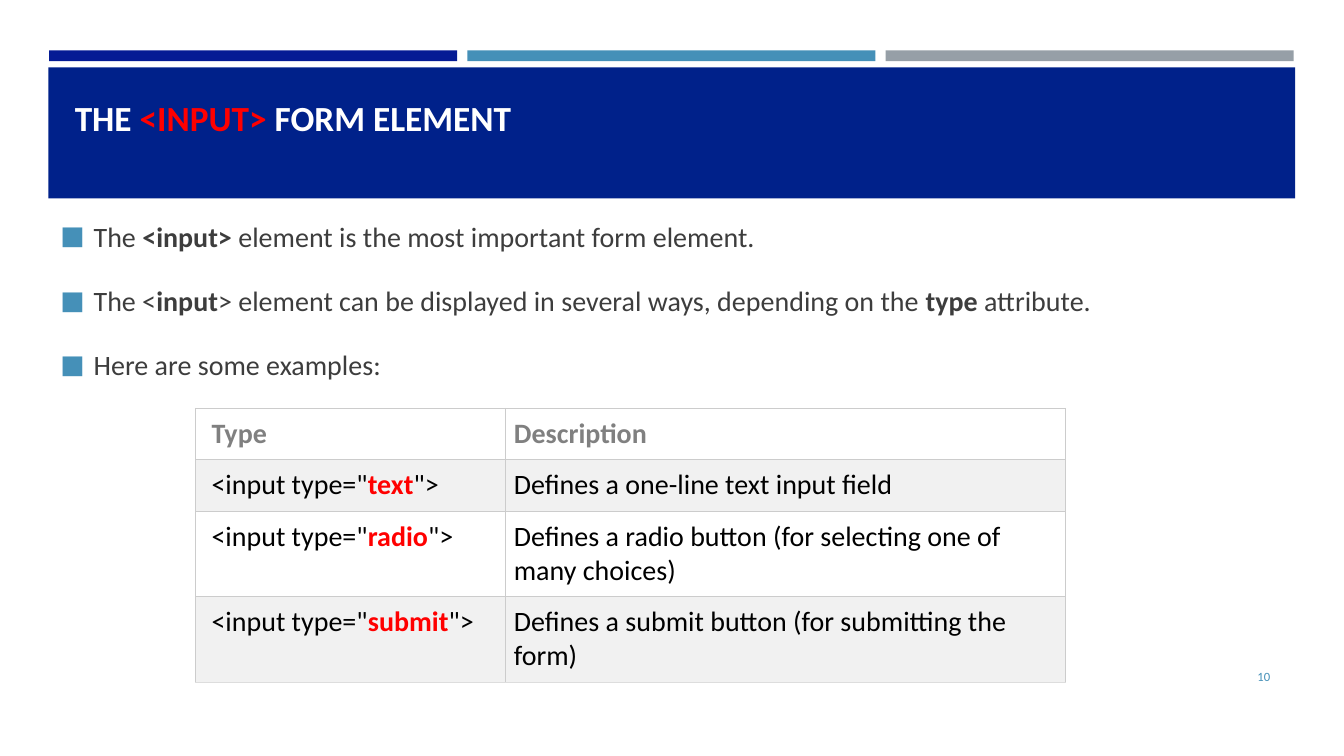
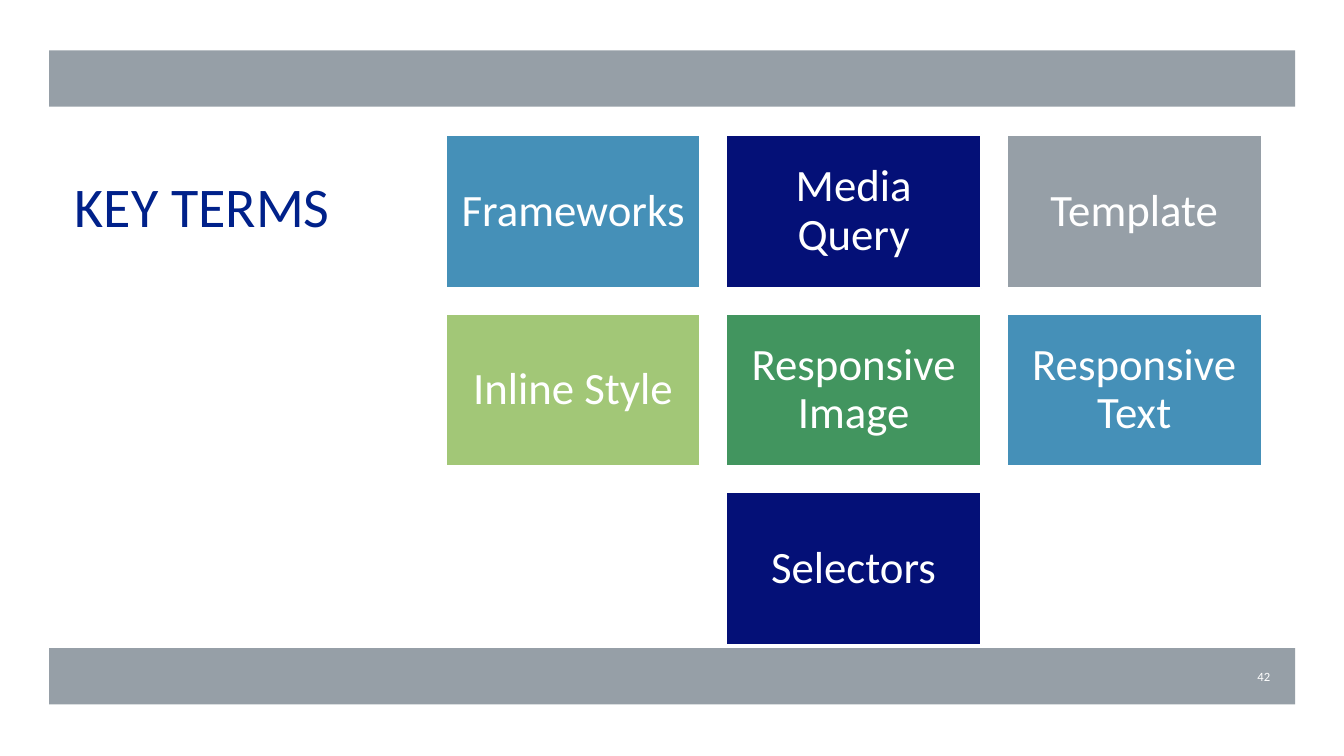
from lxml import etree
from pptx import Presentation
from pptx import util as u
from pptx.dml.color import RGBColor
from pptx.enum import shapes, text
from pptx.oxml import ns

FONT = "Calibri"
COLORS = {
    "white": "FFFFFF", "black": "000000", "red": "FF0000", "banner": "00218A",
    "indigo": "051B94", "navy": "041077", "blue": "4590B8", "grey": "969FA7",
    "lime": "A2C777", "green": "42955F", "body": "3D3D3D", "heading": "808080",
    "stripe": "F1F1F1", "border": "CCCCCC", "last_border": "DDDDDD",
}

INPUT_TITLE = [("THE ", ""), ("<INPUT>", "red"), (" FORM ELEMENT", "")]
BULLETS = [
    [("The ", ""), ("<input>", "bold"),
     (" element is the most important form element.", "")],
    [("The <", ""), ("input", "bold"),
     ("> element can be displayed in several ways, depending on the ", ""),
     ("type", "bold"), (" attribute.", "")],
    [("Here are some examples:", "")],
]
TABLE_HEAD = ("Type", "Description")
INPUT_TYPES = [
    ("text", "Defines a one-line text input field"),
    ("radio", "Defines a radio button (for selecting one of many choices)"),
    ("submit", "Defines a submit button (for submitting the form)"),
]
COLUMN_WIDTHS = (7.82, 14.1)
ROW_HEIGHTS = (1.3, 1.3, 2.15, 2.15)

TERMS_TITLE = [("KEY TERMS", "")]
TERMS = [
    ("Frameworks", "blue"), ("Media Query", "navy"), ("Template", "grey"),
    ("Inline Style", "lime"), ("Responsive Image", "green"), ("Responsive Text", "blue"),
    ("Selectors", "navy"),
]
TILES_PER_ROW = 3
TILE_WIDTH, TILE_HEIGHT, TILE_GAP = 6.43, 3.86, 0.64
TILES_LEFT, TILES_TOP = 11.23, 3.4


def rgb(name):
    return RGBColor.from_string(COLORS[name])


def place(left, top, width, height):
    return [u.Cm(value) for value in (left, top, width, height)]


def style_font(font, size, color, bold=False):
    font.name = FONT
    font.size = u.Pt(size)
    font.color.rgb = rgb(color)
    font.bold = bold


def write(para, runs, size, color, bold=False):
    style_font(para.font, size, color, bold)
    for words, style in runs:
        span = para.add_run()
        span.text = words
        style_font(span.font, size, "red" if style == "red" else color,
                   bold or bool(style))


def set_insets(frame, horizontal, vertical):
    frame.margin_left = frame.margin_right = u.Cm(horizontal)
    frame.margin_top = frame.margin_bottom = u.Cm(vertical)


def add_band(page, at, color):
    band = page.shapes.add_shape(shapes.MSO_SHAPE.RECTANGLE, *place(*at))
    band.shadow.inherit = False
    band.fill.solid()
    band.fill.fore_color.rgb = rgb(color)
    band.line.fill.background()
    return band


def add_text_box(page, at, anchor):
    frame = page.shapes.add_textbox(*place(*at)).text_frame
    frame.word_wrap = True
    frame.vertical_anchor = anchor
    return frame


def set_title(page, runs, at, size, color, bold, anchor):
    title = page.shapes.title
    title.element.getparent().append(title.element)
    title.left, title.top, title.width, title.height = place(*at)
    frame = title.text_frame
    frame.auto_size = text.MSO_AUTO_SIZE.NONE
    frame.word_wrap = True
    frame.vertical_anchor = anchor
    para = frame.paragraphs[0]
    para.alignment = text.PP_ALIGN.LEFT
    write(para, runs, size, color, bold)


def add_page_number(page, number, color):
    frame = add_text_box(page, (29.34, 16.54, 2.92, 1.02), text.MSO_ANCHOR.MIDDLE)
    para = frame.paragraphs[0]
    para.alignment = text.PP_ALIGN.RIGHT
    write(para, [(number, "")], 9, color)


def add_bullet(para):
    props = para._p.get_or_add_pPr()
    props.set("marL", str(u.Cm(0.84)))
    props.set("indent", str(-u.Cm(0.84)))
    color = etree.SubElement(props, ns.qn("a:buClr"))
    etree.SubElement(color, ns.qn("a:srgbClr"), val=COLORS["blue"])
    etree.SubElement(props, ns.qn("a:buSzPct"), val="92000")
    etree.SubElement(props, ns.qn("a:buFont"), typeface=FONT)
    etree.SubElement(props, ns.qn("a:buChar"), char="■")


def set_borders(cell, bottom):
    props = cell._tc.get_or_add_tcPr()
    sides = {"lnL": "border", "lnR": "border", "lnT": "border", "lnB": bottom}
    for index, (side, color) in enumerate(sides.items()):
        line = etree.Element(ns.qn("a:" + side), w=str(u.Pt(0.75)))
        fill = etree.SubElement(line, ns.qn("a:solidFill"))
        etree.SubElement(fill, ns.qn("a:srgbClr"), val=COLORS[color])
        props.insert(index, line)


def add_types_table(page):
    rows = [[[(label, "")] for label in TABLE_HEAD]]
    for kind, description in INPUT_TYPES:
        rows.append([[('<input type="', ""), (kind, "red"), ('">', "")],
                     [(description, "")]])
    at = place(4.93, 10.29, sum(COLUMN_WIDTHS), sum(ROW_HEIGHTS))
    table = page.shapes.add_table(len(rows), len(COLUMN_WIDTHS), *at).table
    for column, width in zip(table.columns, COLUMN_WIDTHS):
        column.width = u.Cm(width)
    for row, height in zip(table.rows, ROW_HEIGHTS):
        row.height = u.Cm(height)
    for r, row in enumerate(rows):
        for c, runs in enumerate(row):
            cell = table.cell(r, c)
            set_insets(cell, 0.2, 0.2)
            if c == 0:
                cell.margin_left = u.Cm(0.4)
            cell.fill.solid()
            cell.fill.fore_color.rgb = rgb("stripe" if r % 2 else "white")
            set_borders(cell, "last_border" if r == len(rows) - 1 else "border")
            write(cell.text_frame.paragraphs[0], runs, 20,
                  "black" if r else "heading", bold=r == 0)


def build_input_page(page):
    for index, color in enumerate(("indigo", "blue", "grey")):
        add_band(page, (1.24 + index * 10.54, 1.27, 10.28, 0.27), color)
    add_band(page, (1.22, 1.7, 31.42, 3.3), "banner")
    set_title(page, INPUT_TITLE, (1.63, 2.2, 30.63, 1.5), 25.2, "white", True,
              text.MSO_ANCHOR.MIDDLE)
    add_page_number(page, "10", "blue")
    frame = add_text_box(page, (1.27, 5.1, 29.2, 5), text.MSO_ANCHOR.TOP)
    set_insets(frame, 0.25, 0)
    for index, runs in enumerate(BULLETS):
        para = frame.add_paragraph() if index else frame.paragraphs[0]
        para.line_spacing = 1.5
        para.space_before = u.Pt(4)
        para.space_after = u.Pt(6)
        add_bullet(para)
        write(para, runs, 20, "body")
    add_types_table(page)


def build_terms_page(page):
    for top in (1.27, 16.33):
        add_band(page, (1.24, top, 31.4, 1.42), "grey")
    set_title(page, TERMS_TITLE, (1.63, 4.19, 9.3, 10.85), 40, "banner", False,
              text.MSO_ANCHOR.TOP)
    for index, (term, color) in enumerate(TERMS):
        row, column = divmod(index, TILES_PER_ROW)
        in_row = min(TILES_PER_ROW, len(TERMS) - row * TILES_PER_ROW)
        column += (TILES_PER_ROW - in_row) / 2
        left = TILES_LEFT + column * (TILE_WIDTH + TILE_GAP)
        top = TILES_TOP + row * (TILE_HEIGHT + TILE_GAP)
        tile = add_band(page, (left, top, TILE_WIDTH, TILE_HEIGHT), color)
        tile.line.color.rgb = rgb("white")
        tile.line.width = u.Pt(1.75)
        frame = tile.text_frame
        frame.word_wrap = True
        frame.vertical_anchor = text.MSO_ANCHOR.MIDDLE
        set_insets(frame, 0.33, 0.33)
        para = frame.paragraphs[0]
        para.alignment = text.PP_ALIGN.CENTER
        para.line_spacing = 0.9
        write(para, [(term, "")], 32, "white")
    add_page_number(page, "42", "white")


def main():
    deck = Presentation()
    deck.slide_width, deck.slide_height = u.Cm(33.87), u.Cm(19.05)
    for build in (build_input_page, build_terms_page):
        build(deck.slides.add_slide(deck.slide_layouts[5]))
    deck.save("out.pptx")


if __name__ == "__main__":
    main()
